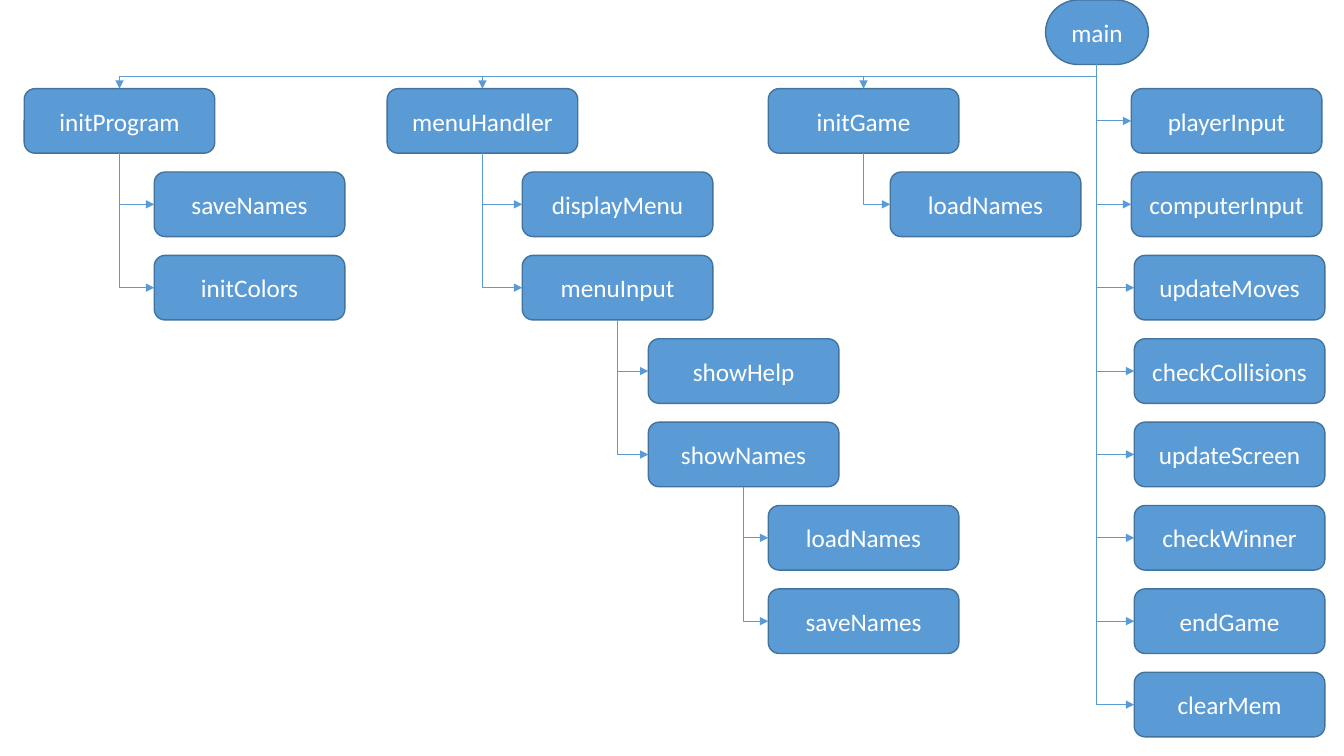
from lxml import etree
from pptx import Presentation
from pptx.dml.color import RGBColor
from pptx.enum.shapes import MSO_CONNECTOR, MSO_SHAPE
from pptx.enum.text import MSO_ANCHOR, PP_ALIGN
from pptx.oxml.ns import qn
from pptx.util import Inches, Pt

ROUNDED = MSO_SHAPE.ROUNDED_RECTANGLE
ELBOW = MSO_CONNECTOR.ELBOW
MIDDLE = MSO_ANCHOR.MIDDLE
CENTER = PP_ALIGN.CENTER
TOP_SITE, LEFT_SITE, BOTTOM_SITE = 0, 1, 2

BLUE, DARK_BLUE, WHITE = "5B9BD5", "43729D", "FFFFFF"
BOX_WIDTH, BOX_HEIGHT = 1.89, 0.64
FIRST_ROW, LAST_ROW = 0.88, 6.67
ROW_PITCH = (LAST_ROW - FIRST_ROW) / 7

prs = Presentation()
prs.slide_width, prs.slide_height = Inches(13.33), Inches(7.5)
slide = prs.slides.add_slide(prs.slide_layouts[6])


def add_box(label, left, top, width, corner):
    box = slide.shapes.add_shape(ROUNDED, Inches(left), Inches(top),
                                 Inches(width), Inches(BOX_HEIGHT))
    box.adjustments[0] = corner
    box.shadow.inherit = False
    box.fill.solid()
    box.fill.fore_color.rgb = RGBColor.from_string(BLUE)
    box.line.color.rgb = RGBColor.from_string(DARK_BLUE)
    box.line.width = Pt(1)
    box.text_frame.word_wrap = True
    box.text_frame.vertical_anchor = MIDDLE
    paragraph = box.text_frame.paragraphs[0]
    paragraph.text = label
    paragraph.alignment = CENTER
    paragraph.font.size = Pt(18)
    paragraph.font.name = "Calibri"
    paragraph.font.color.rgb = RGBColor.from_string(WHITE)
    return box


def add_call(caller, callee, enters_top):
    """Elbow arrow from the caller's bottom to the callee's top or left side."""
    arrow = slide.shapes.add_connector(ELBOW, 0, 0, 0, 0)
    arrow.begin_connect(caller, BOTTOM_SITE)
    arrow.end_connect(callee, TOP_SITE if enters_top else LEFT_SITE)
    start_x, start_y = caller.left + caller.width // 2, caller.top + caller.height
    end_x, end_y = callee.left, callee.top
    if enters_top:
        end_x += callee.width // 2
    else:
        end_y += callee.height // 2

    # The elbow is a quarter turn, so its width runs down the slide
    arrow.width, arrow.height = end_y - start_y, abs(end_x - start_x)
    arrow.left = (start_x + end_x - arrow.width) // 2
    arrow.top = (start_y + end_y - arrow.height) // 2
    properties = arrow._element.spPr
    transform = properties.find(qn("a:xfrm"))
    transform.set("rot", "5400000" if enters_top else "16200000")
    transform.set("flipH", "0" if enters_top else "1")
    transform.set("flipV", "0")
    if not enters_top:
        properties.find(qn("a:prstGeom")).set("prst", "bentConnector2")

    arrow.line.color.rgb = RGBColor.from_string(BLUE)
    arrow.line.width = Pt(0.75)
    etree.SubElement(properties.find(qn("a:ln")), qn("a:tailEnd"), type="triangle")
    etree.SubElement(properties, qn("a:effectLst"))


# Root of the call tree
boxes = {"main": add_box("main", 10.37, 0, 1.02, 0.5)}

# Caller, left edge, first row, functions stacked below one another
call_groups = [
    ("main", 0.24, 0, ["initProgram"]),
    ("main", 3.84, 0, ["menuHandler"]),
    ("main", 7.62, 0, ["initGame"]),
    ("main", 11.22, 0, ["playerInput", "computerInput"]),
    ("main", 11.25, 2, ["updateMoves", "checkCollisions", "updateScreen",
                        "checkWinner", "endGame", "clearMem"]),
    ("initProgram", 1.53, 1, ["saveNames", "initColors"]),
    ("menuHandler", 5.18, 1, ["displayMenu", "menuInput"]),
    ("initGame", 8.83, 1, ["loadNames"]),
    ("menuInput", 6.43, 3, ["showHelp", "showNames"]),
    ("showNames", 7.62, 5, ["loadNames", "saveNames"]),
]

# Function boxes, each with the arrow from its caller
for caller, left, first_row, functions in call_groups:
    for row, function in enumerate(functions, first_row):
        boxes[function] = add_box(function, left, FIRST_ROW + row * ROW_PITCH,
                                  BOX_WIDTH, 0.167)
        is_left_of_caller = boxes[function].left < boxes[caller].left
        add_call(boxes[caller], boxes[function], is_left_of_caller)

prs.save("out.pptx")
